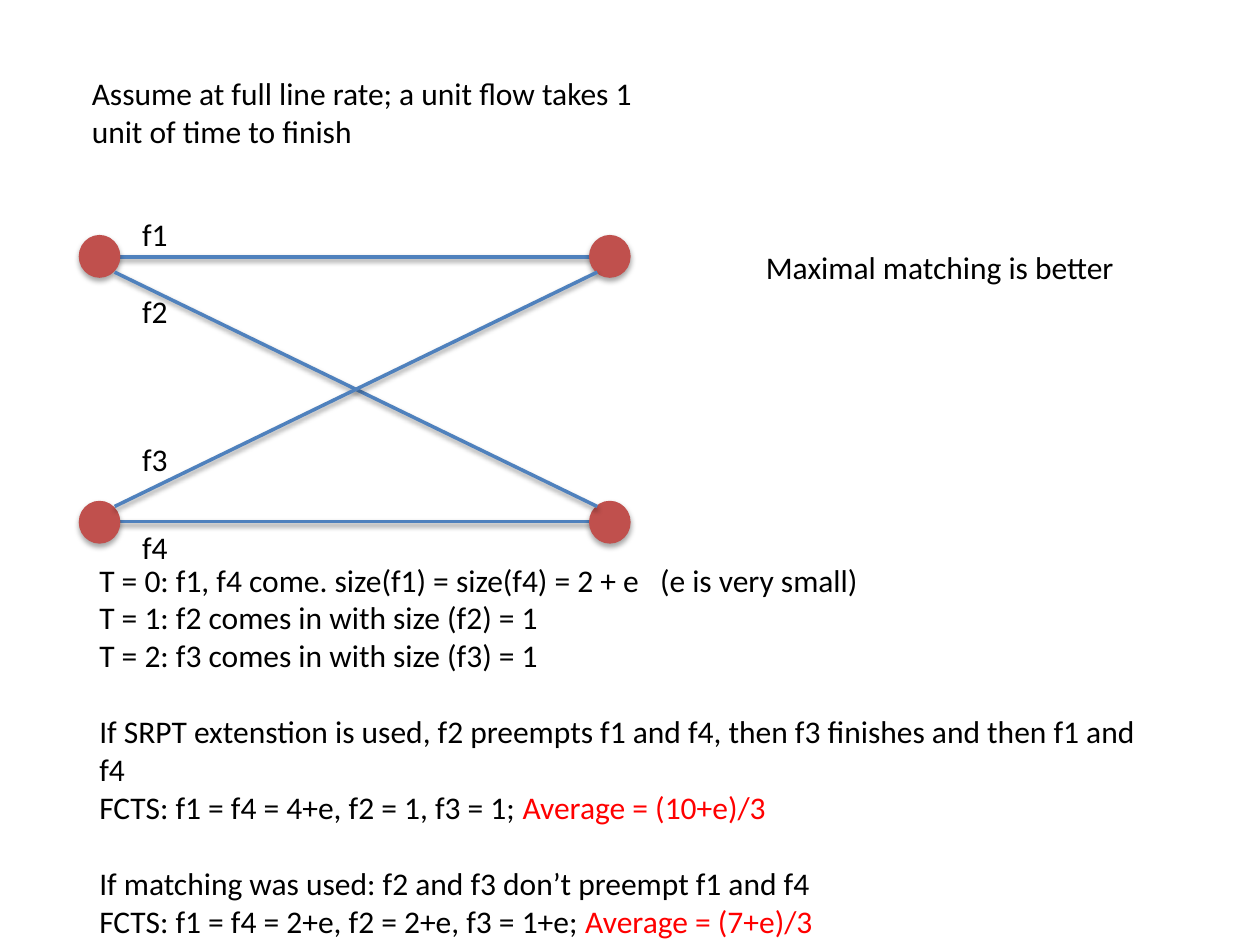
"""Builds a slide comparing SRPT with maximal matching on four flows."""
import pptx
import pptx.dml.color
import pptx.enum.shapes
import pptx.enum.text
import pptx.oxml
import pptx.oxml.ns
import pptx.util

Inches = pptx.util.Inches
Pt = pptx.util.Pt

BLACK, RED = "000000", "FF0000"
LINK_BLUE, NODE_RED = "4F81BD", "C0504D"


def colour(hex_value):
    return pptx.dml.color.RGBColor.from_string(hex_value)


class FlowSlide:
    def __init__(self, presentation):
        self.slide = presentation.slides.add_slide(presentation.slide_layouts[6])
        self.font = {"name": "Calibri", "size": Pt(18)}

    def shadow(self, shape, distance, opacity):
        effects = pptx.oxml.parse_xml(
            f'<a:effectLst {pptx.oxml.ns.nsdecls("a")}>'
            f'<a:outerShdw blurRad="{Pt(3.1)}" dist="{Pt(distance)}" dir="5400000" rotWithShape="0">'
            f'<a:srgbClr val="{BLACK}"><a:alpha val="{opacity * 1000}"/></a:srgbClr>'
            "</a:outerShdw></a:effectLst>"
        )
        shape._element.spPr.append(effects)

    def link(self, start, end):
        flow = self.slide.shapes.add_connector(
            pptx.enum.shapes.MSO_CONNECTOR.STRAIGHT,
            *(Inches(value) for value in (*start, *end)),
        )
        flow.line.color.rgb = colour(LINK_BLUE)
        flow.line.width = Pt(2)
        self.shadow(flow, 1.6, 38)

    def node(self, left, top):
        port = self.slide.shapes.add_shape(
            pptx.enum.shapes.MSO_SHAPE.OVAL,
            Inches(left), Inches(top), Inches(0.32), Inches(0.33),
        )
        port.fill.solid()
        port.fill.fore_color.rgb = colour(NODE_RED)
        port.line.color.rgb = colour(NODE_RED)
        port.line.width = Pt(0.75)
        self.shadow(port, 1.8, 35)

    def text(self, box, paragraphs):
        frame = self.slide.shapes.add_textbox(*(Inches(value) for value in box)).text_frame
        settings = {
            "word_wrap": True,
            "auto_size": pptx.enum.text.MSO_AUTO_SIZE.SHAPE_TO_FIT_TEXT,
        }
        for key, value in settings.items():
            setattr(frame, key, value)
        for index, (gap, *runs) in enumerate(paragraphs):
            paragraph = frame.add_paragraph() if index else frame.paragraphs[0]
            if gap:
                paragraph.space_before = Pt(gap)
            for words, ink in zip(runs, (BLACK, RED)):
                run = paragraph.add_run()
                run.text = words
                run.font.color.rgb = colour(ink)
                for key, value in self.font.items():
                    setattr(run.font, key, value)
        return frame

    def tab_stop(self, paragraph, position):
        stops = pptx.oxml.parse_xml(
            f'<a:tabLst {pptx.oxml.ns.nsdecls("a")}>'
            f'<a:tab pos="{Inches(position)}" algn="l"/></a:tabLst>'
        )
        paragraph._p.get_or_add_pPr().append(stops)


def main():
    presentation = pptx.Presentation()
    presentation.slide_width = Inches(10)
    presentation.slide_height = Inches(7.5)
    page = FlowSlide(presentation)

    for height in (2.04, 4.14):
        page.link((0.81, height), (4.85, height))
    for left in (0.63, 4.68):
        for top in (1.87, 3.98):
            page.node(left, top)
    for start, end in ((2.16, 4.02), (4.02, 2.16)):
        page.link((0.91, start), (4.74, end))

    for number, top in enumerate((1.66, 2.27, 3.44, 4.14), 1):
        page.text((1.03, top, 0.43, 0.4), [(0, f"f{number}")])

    section_gap = 22
    schedule = page.text((0.69, 4.4, 8.6, 3.13), [
        (0, "T = 0: f1, f4 come. size(f1) = size(f4) = 2 + e\t(e is very small)"),
        (0, "T = 1: f2 comes in with size (f2) = 1"),
        (0, "T = 2: f3 comes in with size (f3) = 1"),
        (section_gap, "If SRPT extenstion is used, f2 preempts f1 and f4, then f3 finishes and then f1 and f4"),
        (0, "FCTS: f1 = f4 = 4+e, f2 = 1, f3 = 1; ", "Average = (10+e)/3"),
        (section_gap, "If matching was used: f2 and f3 don’t preempt f1 and f4"),
        (0, "FCTS: f1 = f4 = 2+e, f2 = 2+e, f3 = 1+e; ", "Average = (7+e)/3"),
    ])
    page.tab_stop(schedule.paragraphs[0], 4.45)
    page.text((0.63, 0.54, 4.81, 0.71),
              [(0, "Assume at full line rate; a unit flow takes 1 unit of time to finish")])
    page.text((5.98, 1.92, 3.56, 0.4), [(0, "Maximal matching is better")])

    presentation.save("out.pptx")


if __name__ == "__main__":
    main()
